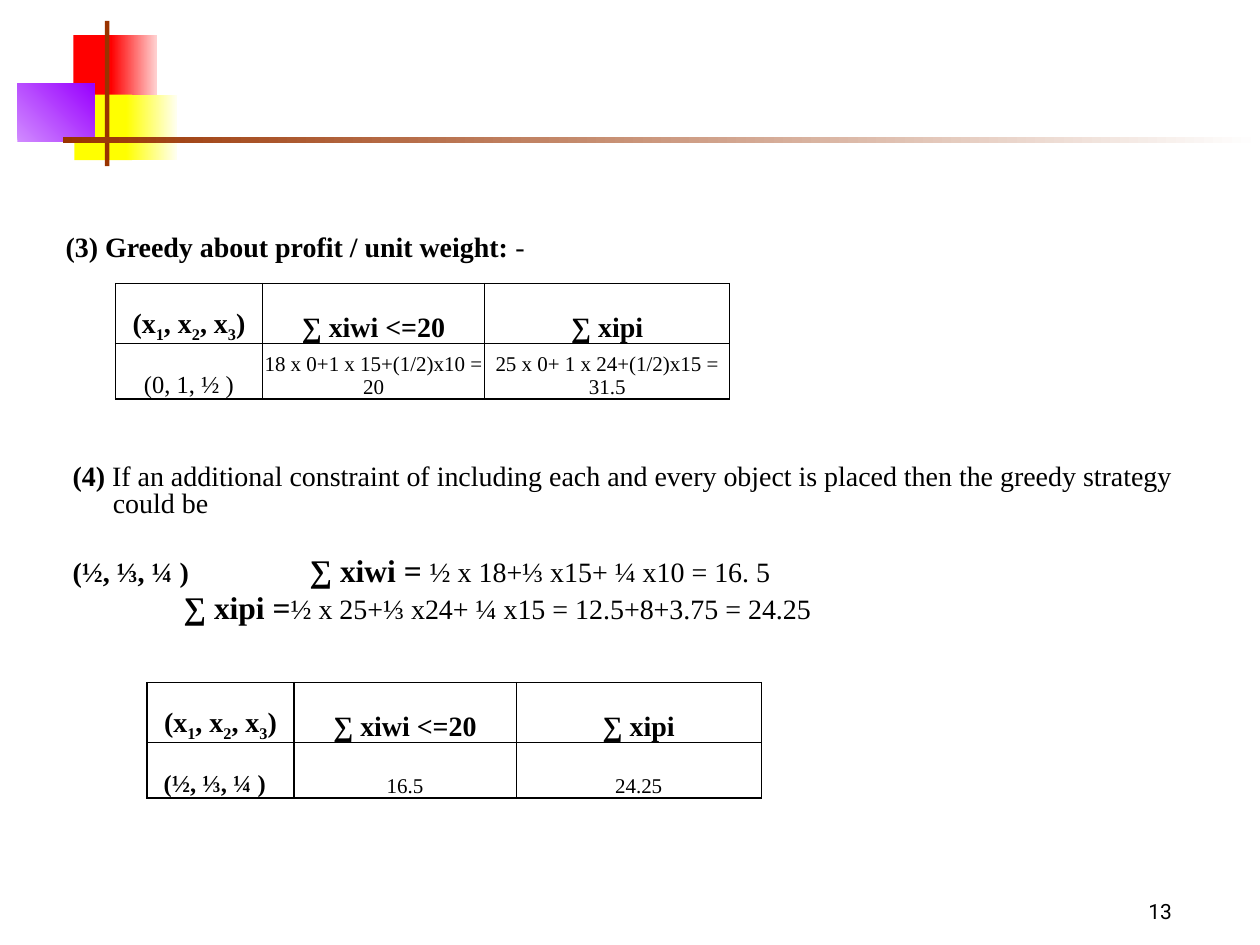
"""Build the slide on greedy knapsack strategies."""
from lxml import etree
from pptx import Presentation
from pptx.dml.color import RGBColor
from pptx.enum.shapes import MSO_SHAPE
from pptx.enum.text import MSO_ANCHOR, PP_ALIGN
from pptx.oxml.ns import qn
from pptx.util import Pt

RECTANGLE = MSO_SHAPE.RECTANGLE
CENTER = PP_ALIGN.CENTER
BOTTOM = MSO_ANCHOR.BOTTOM
SERIF, SANS = "Times New Roman", "Roboto"
BLACK = "000000"
SUBSCRIPT = "-25000"

DECORATION = [
    ((42, 20, 25, 37.5), ["FF0000"], 0),
    ((63.5, 20, 26, 37.5), ["FF0000", "FFD1D1"], 0),
    ((42.5, 54, 33, 37.5), ["FFFF00"], 0),
    ((72, 54, 29, 37.5), ["FFFF00", "FFFFF0"], 0),
    ((10, 48, 44, 33), ["D18BFF", "9900FF"], 45),
    ((60, 12, 2.5, 83), ["993300"], 0),
    ((36, 78, 684, 3.5), ["993300", "FFFFFF"], 0),
]
BODY = [
    (0, [("(3) Greedy about profit / unit weight:", 16, True), (" -", 16, False)]),
    (115.5, [(" ", 16, False), ("(4) ", 16, True),
             ("If an additional constraint of including each and every object "
              "is placed then the greedy strategy could be", 16, False)]),
    (22.5, [(" (½, ⅓, ¼ )\t\t", 16, True), (" ∑ xiwi = ", 18, True),
            ("½ x 18+⅓ x15+ ¼ x10 = 16. 5", 16, False)]),
    (4, [("\t\t", 16, False), (" ∑ xipi =", 18, True),
         ("½ x 25+⅓ x24+ ¼ x15 = 12.5+8+3.75 = 24.25", 16, False)]),
]
VECTOR = [(text, 16, True, SUBSCRIPT if text.isdigit() else None)
          for text in ("(x", "1", ", x", "2", ", x", "3", ")")]
HEADER = [VECTOR, [("∑ xiwi <=20", 16, True)], [("∑ xipi", 16, True)]]
TABLES = [
    ((66, 162), [[("(0, 1, ½ )", 14, False)],
                 [("18 x 0+1 x 15+(1/2)x10 = 20", 12, False)],
                 [("25 x 0+ 1 x 24+(1/2)x15 = 31.5", 12, False)]]),
    ((84, 390), [[(" (½, ⅓, ¼ )\t", 14, True)],
                 [("16.5", 12, False)],
                 [("24.25", 12, False)]]),
]
COLUMNS = (84, 127, 140)
ROWS = (34.5, 31.5)


def color(value):
    return RGBColor.from_string(value)


def assign(target, **values):
    for name, value in values.items():
        setattr(target, name, value)


def write(para, spans, font=SERIF):
    for text, size, bold, *baseline in spans:
        span = para.add_run()
        span.text = text
        assign(span.font, name=font, size=Pt(size), bold=bold)
        span.font.color.rgb = color(BLACK)
        if baseline and baseline[0]:
            span._r.get_or_add_rPr().set("baseline", baseline[0])


def add_block(page, frame, colors, angle):
    shape = page.shapes.add_shape(RECTANGLE, *map(Pt, frame))
    shape.shadow.inherit = False
    shape.line.fill.background()
    if len(colors) == 1:
        shape.fill.solid()
        shape.fill.fore_color.rgb = color(colors[0])
        return
    shape.fill.gradient()
    shape.fill.gradient_angle = angle
    for stop, value in zip(shape.fill.gradient_stops, colors):
        stop.color.rgb = color(value)


def add_box(page, frame):
    box = page.shapes.add_textbox(*map(Pt, frame)).text_frame
    assign(box, word_wrap=True, margin_left=0, margin_right=0,
           margin_top=0, margin_bottom=0)
    return box


def add_body(page):
    box = add_box(page, (37.5, 135, 633.5, 250))
    for index, (gap, spans) in enumerate(BODY):
        para = box.add_paragraph() if index else box.paragraphs[0]
        assign(para, line_spacing=0.8, space_before=Pt(gap))
        properties = para._p.get_or_add_pPr()
        properties.set("marL", str(Pt(27)))
        properties.set("indent", str(Pt(-27)))
        write(para, spans)


def add_borders(cell):
    properties = cell._tc.get_or_add_tcPr()
    for index, side in enumerate(("lnL", "lnR", "lnT", "lnB")):
        line = etree.Element(qn("a:" + side), w=str(Pt(0.75)))
        fill = etree.SubElement(line, qn("a:solidFill"))
        etree.SubElement(fill, qn("a:srgbClr"), val=BLACK)
        properties.insert(index, line)


def add_result_table(page, origin, values):
    size = sum(COLUMNS), sum(ROWS)
    table = page.shapes.add_table(
        len(ROWS), len(COLUMNS), *map(Pt, origin + size)).table
    assign(table, first_row=False, horz_banding=False)
    for column, width in zip(table.columns, COLUMNS):
        column.width = Pt(width)
    for row, height, contents in zip(table.rows, ROWS, (HEADER, values)):
        row.height = Pt(height)
        for cell, spans in zip(row.cells, contents):
            assign(cell, vertical_anchor=BOTTOM, margin_left=Pt(0.7),
                   margin_right=Pt(0.7), margin_top=Pt(0.7), margin_bottom=0)
            cell.fill.background()
            add_borders(cell)
            para = cell.text_frame.paragraphs[0]
            para.alignment = CENTER
            write(para, spans)


def main():
    deck = Presentation()
    assign(deck, slide_width=Pt(720), slide_height=Pt(540))
    page = deck.slides.add_slide(deck.slide_layouts[6])
    for frame, colors, angle in DECORATION:
        add_block(page, frame, colors, angle)
    number = add_box(page, (624, 513.5, 78, 18)).paragraphs[0]
    number.alignment = CENTER
    write(number, [("13", 12, False)], SANS)
    add_body(page)
    for origin, values in TABLES:
        add_result_table(page, origin, values)
    deck.save("out.pptx")


if __name__ == "__main__":
    main()
